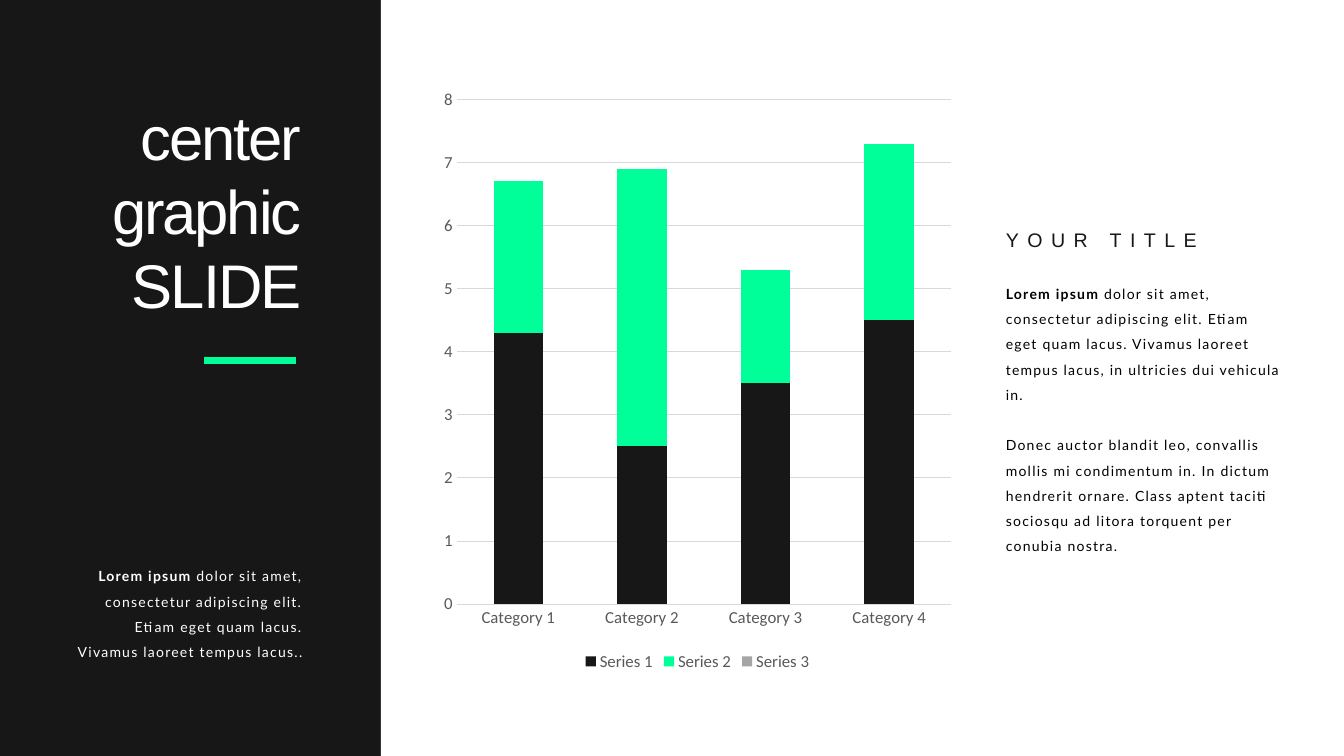
from pptx import Presentation
from pptx.chart.data import CategoryChartData
from pptx.dml.color import RGBColor
from pptx.enum.chart import XL_CHART_TYPE, XL_LEGEND_POSITION, XL_TICK_MARK
from pptx.enum.shapes import MSO_CONNECTOR, MSO_SHAPE
from pptx.enum.text import MSO_ANCHOR, PP_ALIGN
from pptx.oxml.ns import qn
from pptx.util import Pt
from lxml import etree

COLORS = {
    "ink": "181717",
    "white": "FFFFFF",
    "black": "000000",
    "accent": "00FF99",
    "series_gray": "A5A5A5",
    "label": "595959",
    "grid": "D9D9D9",
}
SERIES = [
    ("Series 1", (4.3, 2.5, 3.5, 4.5), "ink"),
    ("Series 2", (2.4, 4.4, 1.8, 2.8), "accent"),
    ("Series 3", (None, None, None, None), "series_gray"),
]


def color(name):
    return RGBColor.from_string(COLORS[name])


def style_font(font, size, color_name, name):
    font.size = Pt(size)
    font.name = name
    font.color.rgb = color(color_name)


def add_panel(page, left, top, width, height, fill):
    panel = page.shapes.add_shape(
        MSO_SHAPE.RECTANGLE, Pt(left), Pt(top), Pt(width), Pt(height))
    panel.shadow.inherit = False
    panel.fill.solid()
    panel.fill.fore_color.rgb = color(fill)
    panel.line.fill.background()


def add_text(shapes, place, paragraphs, font, size, color_name, tracking,
             align=PP_ALIGN.LEFT, anchor=MSO_ANCHOR.TOP, line_spacing=None, gap=0):
    """Each paragraph is a list of (text, bold) spans; gap separates paragraphs."""
    box = shapes.add_textbox(*(Pt(length) for length in place))
    frame = box.text_frame
    frame.word_wrap = True
    frame.vertical_anchor = anchor
    for index, spans in enumerate(paragraphs):
        para = frame.add_paragraph() if index else frame.paragraphs[0]
        para.alignment = align
        para.line_spacing = line_spacing
        if index and gap:
            para.space_before = Pt(gap)
        for text, bold in spans:
            span = para.add_run()
            span.text = text
            span.font.bold = bold
            style_font(span.font, size, color_name, font)
            span.font._element.set("spc", str(round(tracking * 100)))


def add_rule(page, left, right, y, weight, color_name):
    rule = page.shapes.add_connector(
        MSO_CONNECTOR.STRAIGHT, Pt(left), Pt(y), Pt(right), Pt(y))
    rule.line.color.rgb = color(color_name)
    rule.line.width = Pt(weight)
    etree.SubElement(rule._element.spPr, qn("a:effectLst"))


def style_line(line, color_name):
    line.color.rgb = color(color_name)
    line.width = Pt(0.75)


def add_stacked_chart(page, left, top, width, height):
    data = CategoryChartData()
    data.categories = [f"Category {number}" for number in range(1, 5)]
    for name, values, _ in SERIES:
        data.add_series(name, values)
    chart = page.shapes.add_chart(
        XL_CHART_TYPE.COLUMN_STACKED, Pt(left), Pt(top), Pt(width), Pt(height),
        data).chart
    style_font(chart.font, 10, "black", "Calibri")
    chart.has_title = False

    # Columns
    plot = chart.plots[0]
    plot.vary_by_categories = False
    plot.gap_width = 150
    plot.overlap = 100
    for series, (_, _, fill) in zip(plot.series, SERIES):
        series.format.fill.solid()
        series.format.fill.fore_color.rgb = color(fill)

    # Axes
    for axis in (chart.category_axis, chart.value_axis):
        axis.major_tick_mark = XL_TICK_MARK.NONE
        axis.minor_tick_mark = XL_TICK_MARK.NONE
        style_font(axis.tick_labels.font, 12, "label", "Calibri")
    style_line(chart.category_axis.format.line, "grid")
    value_axis = chart.value_axis
    value_axis.minimum_scale, value_axis.maximum_scale = 0, 8
    value_axis.major_unit = 1
    value_axis.format.line.fill.background()
    style_line(value_axis.major_gridlines.format.line, "grid")

    # Legend
    chart.has_legend = True
    chart.legend.position = XL_LEGEND_POSITION.BOTTOM
    chart.legend.include_in_layout = False
    style_font(chart.legend.font, 12, "label", "Calibri")


def main():
    deck = Presentation()
    deck.slide_width, deck.slide_height = Pt(960), Pt(540)
    page = deck.slides.add_slide(deck.slide_layouts[6])
    page.background.fill.solid()
    page.background.fill.fore_color.rgb = color("ink")

    # White area with the chart
    add_panel(page, 272, 0, 688, 540, "white")
    add_stacked_chart(page, 309.6, 55.4, 377.3, 427)

    # Dark side column
    add_text(page.shapes, (48.2, 396, 175, 77.8),
             [[("Lorem ipsum ", True),
               ("dolor sit amet, consectetur adipiscing elit. Etiam eget quam lacus. "
                "Vivamus laoreet tempus lacus..", False)]],
             "Lato", 10, "white", 0.9, align=PP_ALIGN.RIGHT, line_spacing=1.5)
    add_text(page.shapes, (36.7, 66.2, 185.8, 167),
             [[(word, False)] for word in ("center", "graphic", "SLIDE")],
             "Arial", 44, "white", -1.5, align=PP_ALIGN.RIGHT,
             anchor=MSO_ANCHOR.MIDDLE)
    add_rule(page, 145.4, 211.7, 257.8, 5, "accent")

    # Right column: body and heading
    column = page.shapes.add_group_shape().shapes
    add_text(column, (711.4, 194.4, 211.7, 187.2),
             [[("Lorem ipsum ", True),
               ("dolor sit amet, consectetur adipiscing elit. Etiam eget quam lacus. "
                "Vivamus laoreet tempus lacus, in ultricies dui vehicula in.", False)],
              [("Donec auctor blandit leo, convallis mollis mi condimentum in. "
                "In dictum hendrerit ornare. Class aptent taciti sociosqu ad litora "
                "torquent per conubia nostra.", False)]],
             "Lato", 10, "black", 0.9, line_spacing=1.5, gap=18)
    add_text(column, (711.4, 159.1, 189.4, 24.5), [[("YOUR TITLE", False)]],
             "Arial", 14, "ink", 6, anchor=MSO_ANCHOR.MIDDLE)

    deck.save("out.pptx")


if __name__ == "__main__":
    main()
